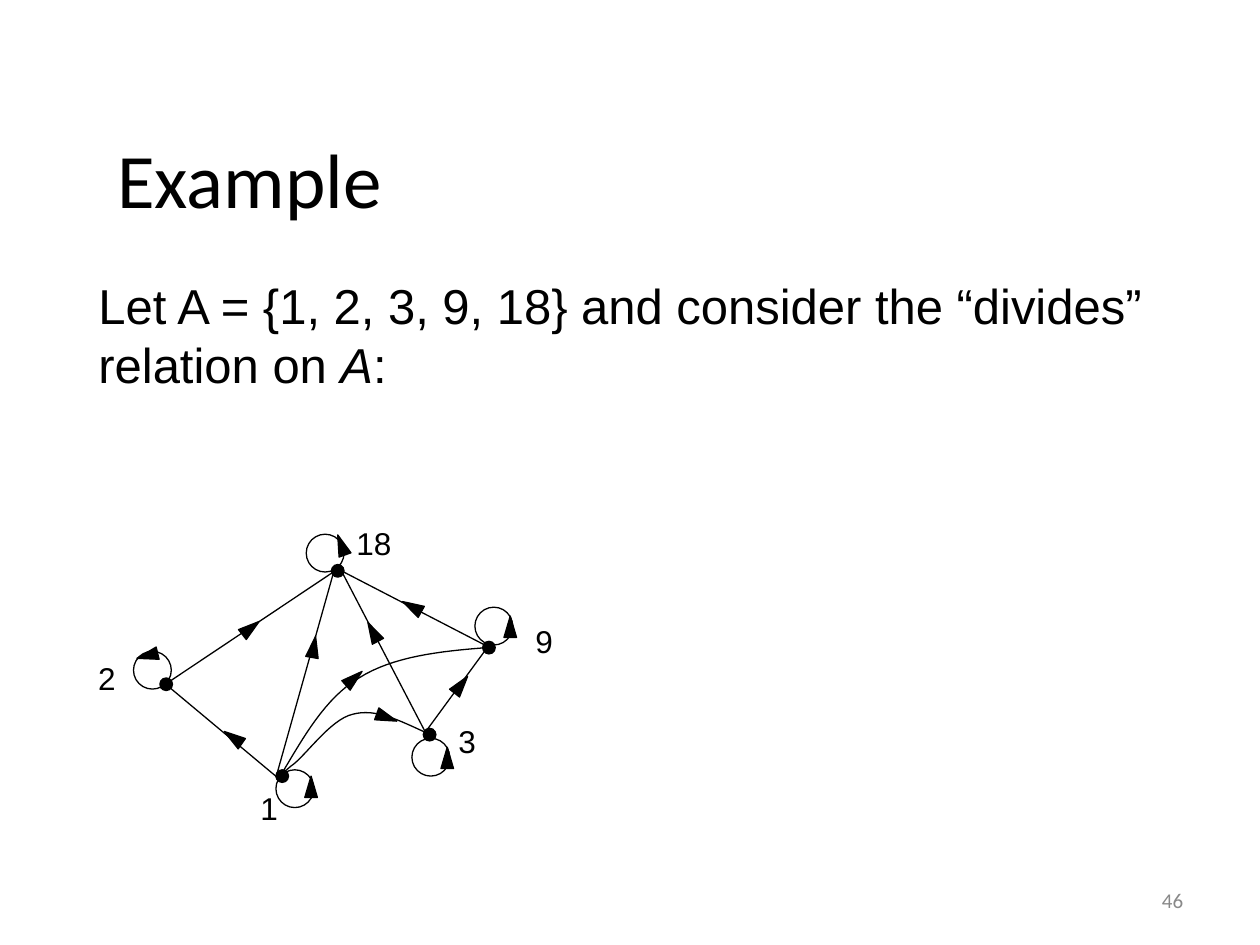
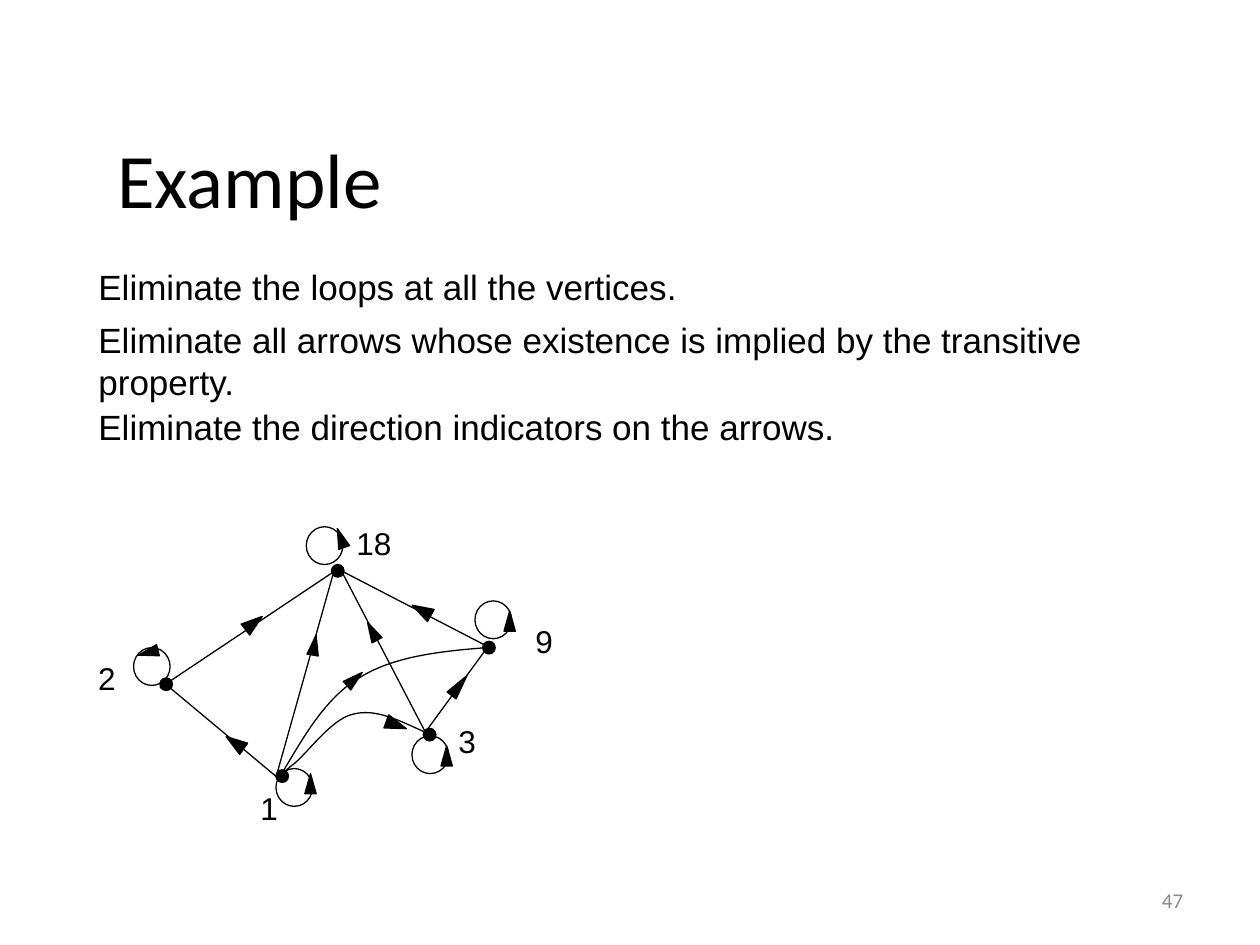
import pptx
import pptx.dml.color
import pptx.enum.shapes
import pptx.enum.text
import pptx.oxml
import pptx.util

Pt = pptx.util.Pt
SHAPE = pptx.enum.shapes.MSO_SHAPE
ALIGN = pptx.enum.text.PP_ALIGN
ANCHOR = pptx.enum.text.MSO_ANCHOR
BLACK = pptx.dml.color.RGBColor(0x00, 0x00, 0x00)
GREY = pptx.dml.color.RGBColor(0x89, 0x89, 0x89)
LINE_WIDTH = Pt(0.75)
DOT = 7.2
CURVE_STEPS = 16

# Vertex: dot left, dot top, label left, label top, label width
VERTICES = {
    "1": (157.7, 439.9, 141.8, 447.1, 31.7),
    "2": (91.4, 387.4, 49, 373, 31.7),
    "3": (241.9, 416.2, 254.9, 409, 31.7),
    "9": (275.8, 366.5, 298.8, 352.1, 31.7),
    "18": (189.4, 322.6, 196.6, 295.9, 42.5),
}
STRAIGHT_EDGES = [
    (158.4, 444.2, 97.2, 393.1),   # 1 to 2
    (157.7, 444.2, 191.5, 324),    # 1 to 18
    (91.4, 393.1, 191.5, 326.2),   # 2 to 18
    (278.6, 369.4, 195.1, 326.2),  # 9 to 18
    (242.6, 419, 277.9, 370.8),    # 3 to 9
    (243.4, 419, 195.1, 326.2),    # 3 to 18
]
# Cubic curves: start, then two controls and an end for each segment
CURVED_EDGES = [
    [(160.6, 442.8), (173.5, 421.2), (185.8, 398.9), (205.2, 387.4),
     (224.6, 375.1), (251.3, 372.2), (277.9, 370.1)],  # 1 to 9
    [(162, 440.6), (160.6, 442.1), (159.8, 443.5), (166.3, 437.8),
     (174.2, 432.7), (188.6, 411.1), (201.6, 408.2),
     (214.6, 404.6), (228.2, 411.8), (242.6, 418.3)],  # 1 to 3
]
LOOP_LEFTS = (157.7, 76.3, 235.4, 271.4, 175)  # at 1, 2, 3, 9, 18

# Body parts between bars are italic.
# Arrowheads: left, top, width, height, rotation; first the loops, then the edges.
SLIDES = [
    dict(
        number="46", body_box=(49, 154.1, 617, 75.6), size=28,
        body=[("Let A = {1, 2, 3, 9, 18} and consider the “divides” relation on |A|:", 17.5)],
        loop_size=(21.6, 21.6), loop_tops=(439.9, 372.2, 421.9, 347, 305.3),
        heads=[
            (174.2, 443.5, 7.2, 12.2, 0), (80.6, 368.6, 7.2, 12.2, 256),
            (252, 427, 7.2, 12.2, 0), (288, 352.1, 7.2, 12.2, 0),
            (191.5, 305.3, 7.2, 12.2, 340),
            (129.6, 415.4, 7.2, 12.2, 305), (175.7, 363.6, 7.2, 12.2, 10),
            (139.7, 352.8, 7.2, 12.2, 52), (231.8, 340.6, 7.2, 12.2, 299),
            (259.9, 385.2, 7.2, 12.2, 38), (209.5, 355, 7.2, 12.2, 332),
            (198.7, 381.6, 7.2, 12.2, 49), (217.4, 403.9, 7.2, 12.2, 110),
        ],
    ),
    dict(
        number="47", body_box=(49, 148.3, 617, 109), size=20,
        body=[("Eliminate the loops at all the vertices.", 0),
              ("Eliminate all arrows whose existence is implied by the transitive property.", 6),
              ("Eliminate the direction indicators on the arrows.", 2)],
        loop_size=(20.9, 21.6), loop_tops=(439.2, 370.1, 420.5, 343.4, 301),
        heads=[
            (174.2, 442.1, 6.5, 11.5, 0), (81.4, 367.2, 6.5, 11.5, 256),
            (252, 426.2, 6.5, 11.5, 0), (288, 349.2, 6.5, 11.5, 0),
            (191.5, 301.7, 6.5, 11.5, 340),
            (130.3, 418.3, 7.9, 12.2, 305), (176.4, 362.9, 6.5, 11.5, 10),
            (141.1, 349.9, 7.9, 12.2, 52), (236.9, 342.7, 7.9, 12.2, 299),
            (259.2, 384.5, 6.5, 14.4, 38), (209.5, 355, 6.5, 11.5, 332),
            (199.4, 382.3, 6.5, 11.5, 49), (222.5, 408.2, 7.9, 12.2, 110),
        ],
    ),
]


def write(p, text, size, font, color=BLACK, before=0):
    """Fill a paragraph; parts of the text between bars become italic."""
    parts = text.split("|")
    p.text = parts[0]
    for part in parts[1:]:
        p.add_run().text = part
    p.space_before = Pt(before)
    for i, r in enumerate(p.runs):
        r.font.size, r.font.name = Pt(size), font
        r.font.color.rgb = color
        r.font.italic = i % 2 == 1


def add_outlined(s, kind, x, y, w, h, filled=True):
    sp = s.shapes.add_shape(kind, Pt(x), Pt(y), Pt(w), Pt(h))
    sp.shadow.inherit = False
    if filled:
        sp.fill.solid()
        sp.fill.fore_color.rgb = BLACK
    else:
        sp.fill.background()
    sp.line.color.rgb = BLACK
    sp.line.width = LINE_WIDTH
    return sp


prs = pptx.Presentation()
prs.slide_width, prs.slide_height = Pt(720), Pt(540)

for data in SLIDES:
    s = prs.slides.add_slide(prs.slide_layouts[1])

    # Title
    title = s.shapes.title
    title.left, title.top, title.width, title.height = Pt(59.8), Pt(41.8), Pt(606.2), Pt(90)
    tf = title.text_frame
    tf.vertical_anchor = ANCHOR.BOTTOM
    write(tf.paragraphs[0], "Example", 44, "Calibri")
    tf.paragraphs[0].alignment = ALIGN.LEFT

    # Body
    body = s.placeholders[1]
    body.left, body.top, body.width, body.height = [Pt(v) for v in data["body_box"]]
    tf = body.text_frame
    tf.auto_size = pptx.enum.text.MSO_AUTO_SIZE.NONE
    for i, (text, before) in enumerate(data["body"]):
        p = tf.add_paragraph() if i else tf.paragraphs[0]
        write(p, text, data["size"], "Arial", before=before)
        pPr = p._p.get_or_add_pPr()
        pPr.set("marL", "0")
        pPr.set("indent", "0")
        pPr.append(pptx.oxml.parse_xml(
            '<a:buNone xmlns:a="http://schemas.openxmlformats.org/drawingml/2006/main"/>'))

    # Slide number
    tf = s.shapes.add_textbox(Pt(516.2), Pt(500.4), Pt(167), Pt(28.1)).text_frame
    tf.word_wrap = True
    tf.vertical_anchor = ANCHOR.MIDDLE
    write(tf.paragraphs[0], data["number"], 12, "Calibri", GREY)
    tf.paragraphs[0].alignment = ALIGN.RIGHT

    # Vertices and their labels
    for name, (x, y, label_x, label_y, label_w) in VERTICES.items():
        add_outlined(s, SHAPE.OVAL, x, y, DOT, DOT)
        tf = s.shapes.add_textbox(Pt(label_x), Pt(label_y), Pt(label_w), Pt(28.8)).text_frame
        tf.word_wrap = True
        write(tf.paragraphs[0], name, 18, "Arial", before=11.2)

    # Loops
    for x, y in zip(LOOP_LEFTS, data["loop_tops"]):
        add_outlined(s, SHAPE.OVAL, x, y, *data["loop_size"], filled=False)

    # Straight edges
    for edge in STRAIGHT_EDGES:
        line = s.shapes.add_connector(
            pptx.enum.shapes.MSO_CONNECTOR.STRAIGHT, *[Pt(v) for v in edge])
        line.line.color.rgb = BLACK
        line.line.width = LINE_WIDTH
        line._element.spPr.append(pptx.oxml.parse_xml(
            '<a:effectLst xmlns:a="http://schemas.openxmlformats.org/drawingml/2006/main"/>'))

    # Curved edges
    for curve in CURVED_EDGES:
        points = []
        for k in range(0, len(curve) - 1, 3):
            for step in range(1, CURVE_STEPS + 1):
                t = step / CURVE_STEPS
                weights = ((1 - t) ** 3, 3 * t * (1 - t) ** 2, 3 * t * t * (1 - t), t ** 3)
                points.append([Pt(sum(w * c[axis] for w, c in zip(weights, curve[k:k + 4])))
                               for axis in (0, 1)])
        builder = s.shapes.build_freeform(Pt(curve[0][0]), Pt(curve[0][1]))
        builder.add_line_segments(points, close=False)
        sp = builder.convert_to_shape()
        sp.shadow.inherit = False
        sp.fill.background()
        sp.line.color.rgb = BLACK
        sp.line.width = LINE_WIDTH

    # Arrowheads
    for x, y, w, h, rotation in data["heads"]:
        add_outlined(s, SHAPE.ISOSCELES_TRIANGLE, x, y, w, h).rotation = rotation

prs.save("out.pptx")
